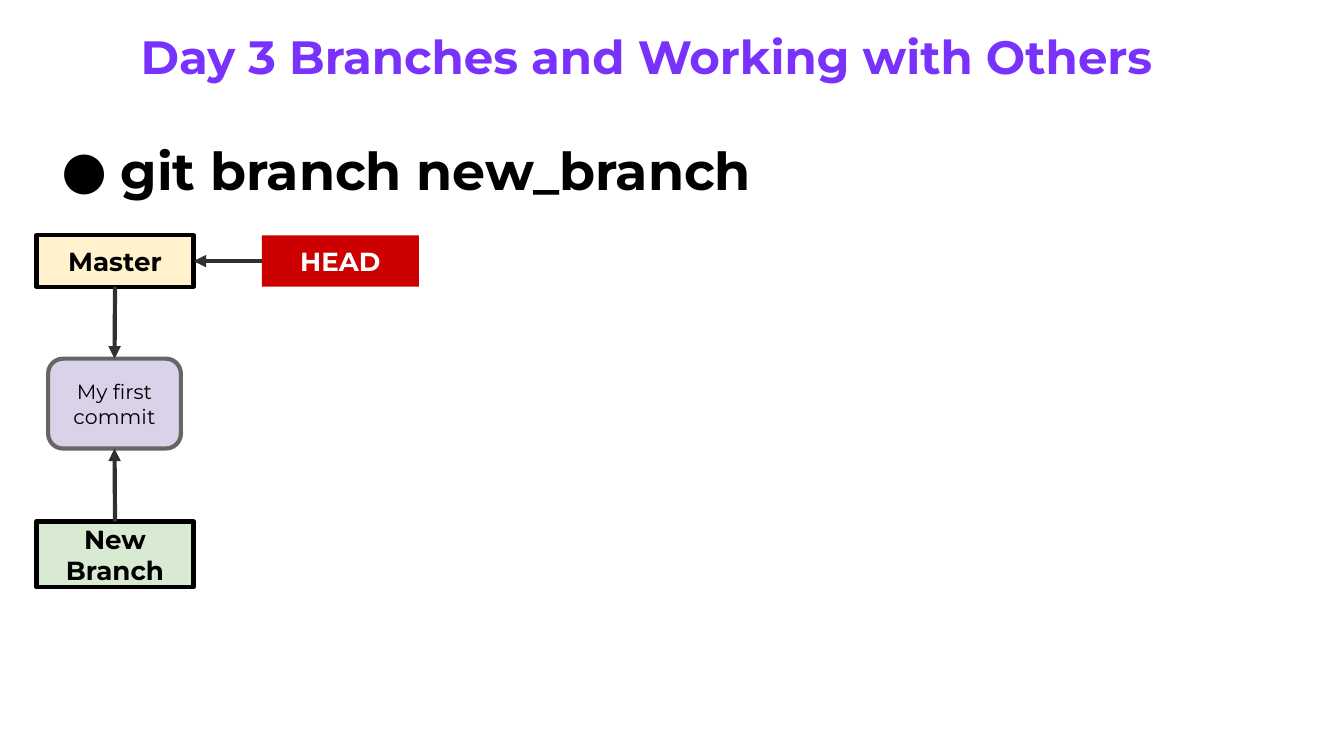
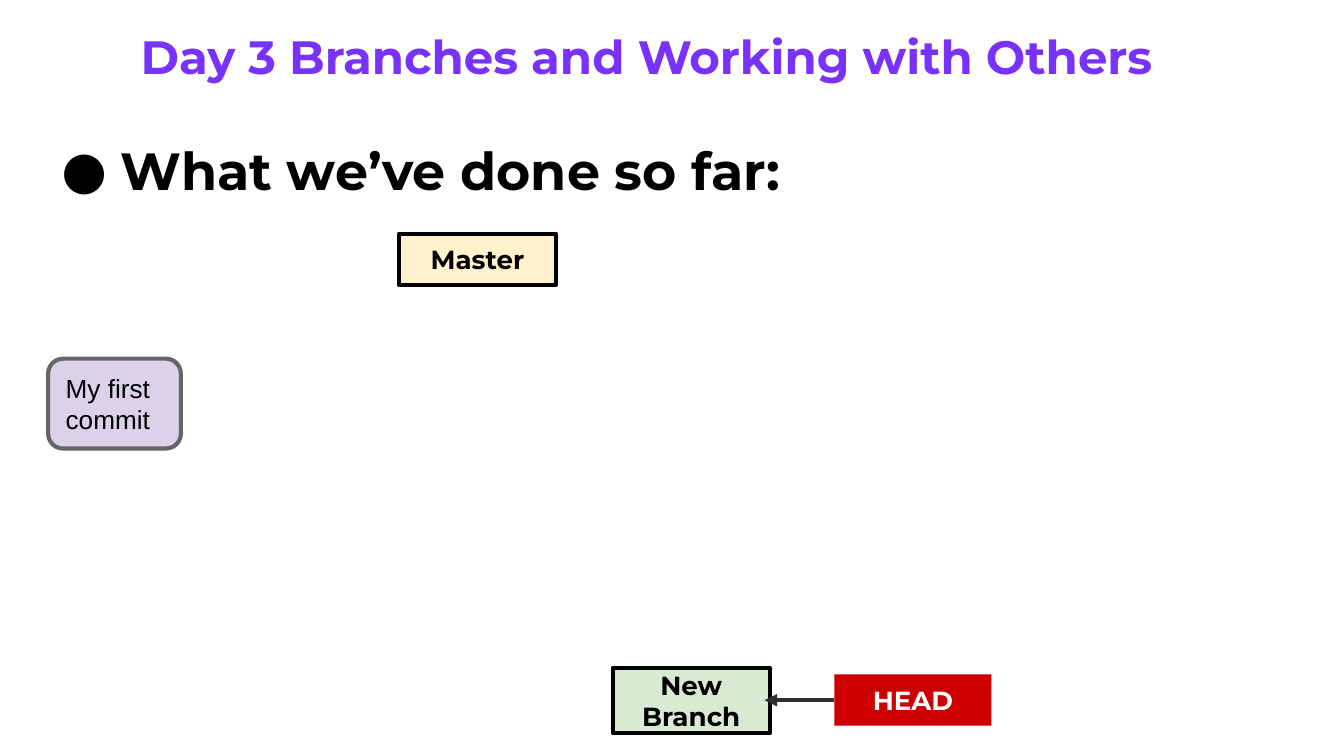
"""Build two slides that show how git branches and HEAD point at commits."""
import pptx
import pptx.dml.color
import pptx.enum.shapes
import pptx.enum.text
import pptx.oxml.ns
import pptx.util
from lxml import etree

Cm = pptx.util.Cm
Pt = pptx.util.Pt
Color = pptx.dml.color.RGBColor
Shape = pptx.enum.shapes.MSO_SHAPE
Align = pptx.enum.text.PP_ALIGN
qn = pptx.oxml.ns.qn

BLACK = Color(0x00, 0x00, 0x00)
WHITE = Color(0xFF, 0xFF, 0xFF)
PURPLE = Color(0x79, 0x32, 0xFC)
CREAM = Color(0xFF, 0xF2, 0xCC)
GREEN = Color(0xD9, 0xEA, 0xD3)
RED = Color(0xCC, 0x00, 0x00)
LILAC = Color(0xD9, 0xD2, 0xE9)
GREY = Color(0x66, 0x66, 0x66)
CHARCOAL = Color(0x30, 0x30, 0x30)

FONT = "Montserrat"
LINE_WIDTH = Pt(2.25)
INSET = Cm(0.25)
TOP, LEFT, BOTTOM, RIGHT = range(4)

TITLE = "Day 3 Branches and Working with Others"
LABEL_STYLE = {"font": FONT, "size": 14, "bold": True, "align": Align.CENTER}
NODES = {
    "Master": {"shape": Shape.RECTANGLE, "size": (2.97, 0.97), "fill": CREAM, "line": BLACK, "ink": BLACK},
    "New Branch": {"shape": Shape.RECTANGLE, "size": (2.97, 1.24), "fill": GREEN, "line": BLACK, "ink": BLACK},
    "HEAD": {"shape": Shape.RECTANGLE, "size": (2.97, 0.97), "fill": RED, "line": None, "ink": WHITE},
    "My first commit": {"shape": Shape.ROUNDED_RECTANGLE, "size": (2.51, 1.7), "fill": LILAC, "line": GREY, "ink": BLACK},
}
SLIDES = [
    {
        "heading": "git branch new_branch",
        "places": {"Master": (0.69, 4.45), "New Branch": (0.69, 9.86),
                   "HEAD": (4.95, 4.45), "My first commit": (0.91, 6.78)},
        "commit_style": {"font": FONT, "size": 11, "bold": False, "align": Align.CENTER},
        "arrows": [("HEAD", LEFT, "Master", RIGHT, 0),
                   ("Master", BOTTOM, "My first commit", TOP, 0),
                   ("New Branch", TOP, "My first commit", BOTTOM, 0)],
    },
    {
        "heading": "What we’ve done so far:",
        "places": {"My first commit": (0.91, 6.78), "Master": (7.54, 4.42),
                   "New Branch": (11.58, 12.62), "HEAD": (15.77, 12.75)},
        "commit_style": {"font": "Arial", "size": 14, "bold": False, "align": Align.LEFT},
        "arrows": [("HEAD", LEFT, "New Branch", RIGHT, 0.1)],
    },
]


def write(shape, text, color, font, size, bold, align=Align.LEFT):
    """Put one styled paragraph in a shape and return the paragraph."""
    frame = shape.text_frame
    frame.word_wrap = True
    frame.margin_left = frame.margin_right = INSET
    frame.margin_top = frame.margin_bottom = INSET
    frame.text = text
    para = frame.paragraphs[0]
    para.alignment = align
    span = para.runs[0]
    span.font.name = font
    span.font.size = Pt(size)
    span.font.bold = bold
    span.font.color.rgb = color
    return para


def add_text(page, text, place, color, size):
    """Add a bold text box that grows with its text."""
    box = page.shapes.add_textbox(*map(Cm, place))
    para = write(box, text, color, FONT, size, True)
    box.text_frame.auto_size = pptx.enum.text.MSO_AUTO_SIZE.SHAPE_TO_FIT_TEXT
    return para


def add_bullet(para):
    """Give a paragraph a round black bullet and a hanging indent."""
    properties = para._p.get_or_add_pPr()
    properties.set("marL", str(Cm(1.27)))
    properties.set("indent", str(Cm(-1.12)))
    color = etree.SubElement(properties, qn("a:buClr"))
    etree.SubElement(color, qn("a:srgbClr"), val=str(BLACK))
    etree.SubElement(properties, qn("a:buFont"), typeface=FONT)
    etree.SubElement(properties, qn("a:buChar"), char="●")


def add_node(page, label, place, style):
    """Add one labelled box of the branch diagram."""
    look = NODES[label]
    node = page.shapes.add_shape(look["shape"], *map(Cm, place + look["size"]))
    node.shadow.inherit = False
    node.fill.solid()
    node.fill.fore_color.rgb = look["fill"]
    if look["line"] is None:
        node.line.fill.background()
    else:
        node.line.color.rgb = look["line"]
        node.line.width = LINE_WIDTH
    write(node, label, look["ink"], **style)
    node.text_frame.vertical_anchor = pptx.enum.text.MSO_ANCHOR.MIDDLE
    return node


def add_arrow(page, start, start_side, end, end_side, overlap):
    """Connect two boxes; an overlap lets the tip reach into the right edge."""
    arrow = page.shapes.add_connector(pptx.enum.shapes.MSO_CONNECTOR.STRAIGHT, 0, 0, 0, 0)
    arrow.begin_connect(start, start_side)
    if overlap:
        arrow.end_x = end.left + end.width - Cm(overlap)
        arrow.end_y = arrow.begin_y
    else:
        arrow.end_connect(end, end_side)
    arrow.line.color.rgb = CHARCOAL
    arrow.line.width = LINE_WIDTH
    etree.SubElement(arrow.line._get_or_add_ln(), qn("a:tailEnd"), type="triangle")
    etree.SubElement(arrow._element.spPr, qn("a:effectLst"))


def main():
    """Build and save the deck."""
    deck = pptx.Presentation()
    deck.slide_width, deck.slide_height = Cm(25.4), Cm(14.29)
    for content in SLIDES:
        page = deck.slides.add_slide(deck.slide_layouts[6])
        add_bullet(add_text(page, content["heading"], (0.76, 2.36, 23.5, 1.7), BLACK, 28))
        add_text(page, TITLE, (2.41, 0.28, 21.34, 1.57), PURPLE, 25)
        nodes = {}
        for label, place in content["places"].items():
            style = content["commit_style"] if label == "My first commit" else LABEL_STYLE
            nodes[label] = add_node(page, label, place, style)
        for start, start_side, end, end_side, overlap in content["arrows"]:
            add_arrow(page, nodes[start], start_side, nodes[end], end_side, overlap)
    deck.save("out.pptx")


if __name__ == "__main__":
    main()
